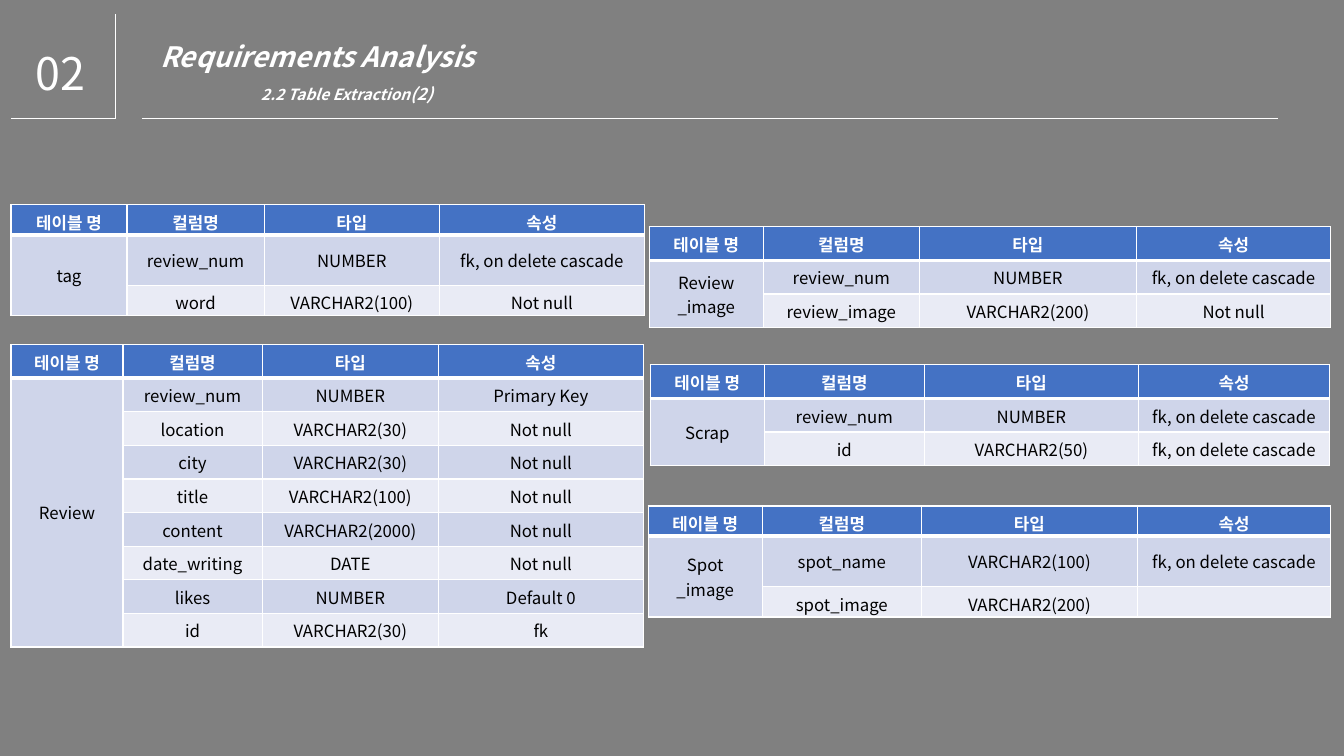
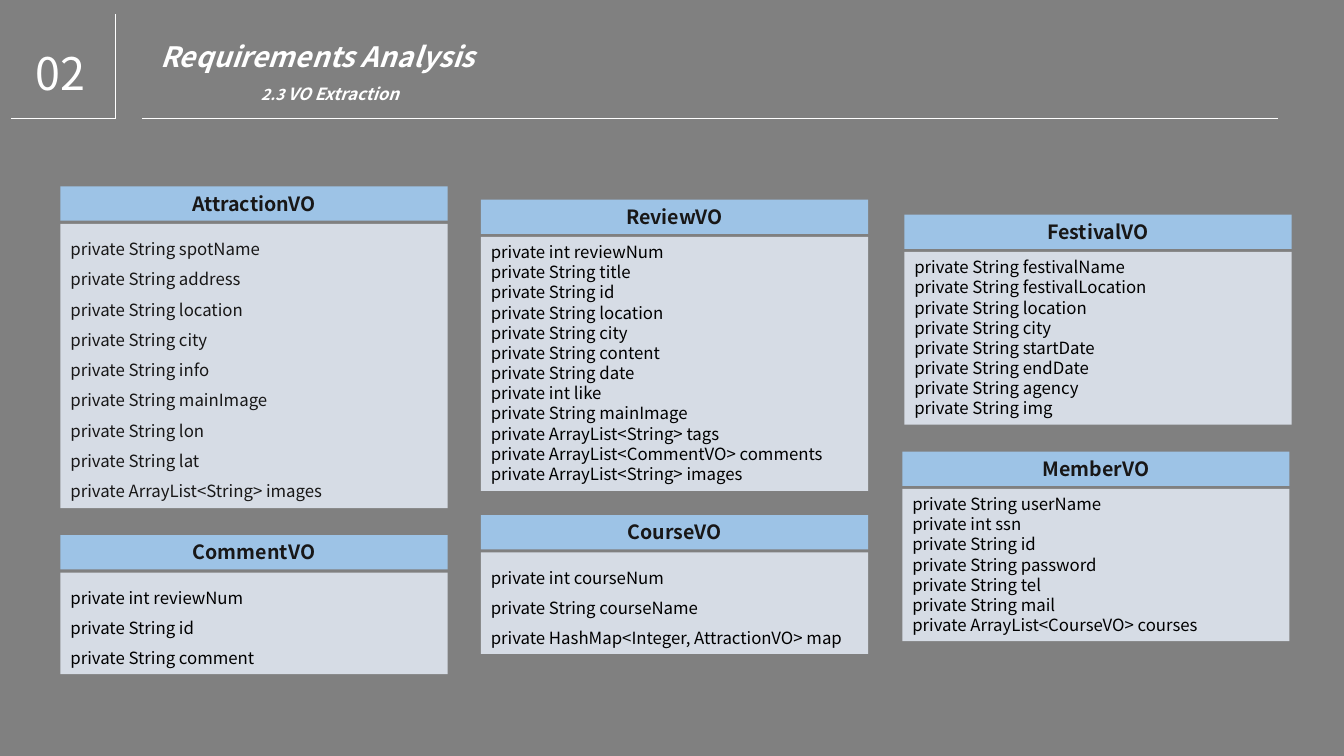
"""Build two slides of a requirements analysis: database tables and value objects."""
from dataclasses import dataclass

from lxml.etree import SubElement as SubEl
from pptx import Presentation as Deck
from pptx.dml.color import RGBColor as RGB
from pptx.enum.shapes import MSO_CONNECTOR as Link, MSO_SHAPE as Form
from pptx.enum.text import MSO_ANCHOR as Anchor, MSO_AUTO_SIZE as Fit, PP_ALIGN as Align
from pptx.oxml.ns import qn
from pptx.slide import Slide
from pptx.table import _Cell as Cell
from pptx.text.text import TextFrame as Frame, _Paragraph as Par
from pptx.util import Inches, Pt

FONT = "Noto Sans CJK KR"
GRAY = RGB(0x80, 0x80, 0x80)
WHITE = RGB(0xFF, 0xFF, 0xFF)
BLACK = RGB(0, 0, 0)
INK = RGB(0x18, 0x17, 0x17)
BLUE = RGB(0x44, 0x72, 0xC4)
DARK = RGB(0xCF, 0xD5, 0xEA)
LIGHT = RGB(0xE9, 0xEB, 0xF5)
SKY = RGB(0x9D, 0xC3, 0xE6)
MIST = RGB(0xD6, 0xDC, 0xE5)

LINES = ((0.11, 1.17, 1.15, 1.17), (1.14, 0.14, 1.14, 1.18), (1.41, 1.17, 12.68, 1.17))
HEADS = ("테이블 명", "컬럼명", "타입", "속성")
TIGHT = (0.3, 0.5, 0.3)
CASCADE = "fk, on delete cascade"
WIDE = 3.84


@dataclass(frozen=True)
class Grid:
    """A database table with its place, sizes and fields."""

    left: float
    top: float
    cols: tuple[float, ...]
    name: str
    rows: tuple[tuple[str, str, str], ...]
    highs: tuple[float, ...] = ()


@dataclass(frozen=True)
class Card:
    """A value object with its place and fields."""

    left: float
    top: float
    name: str
    fields: tuple[str, ...]
    space: float = 1.0
    ink: RGB = BLACK


GRIDS = (
    Grid(6.43, 5.02, (1.13, 1.58, 2.14, 1.92), "Spot\n_image", (
        ("spot_name", "VARCHAR2(100)", CASCADE),
        ("spot_image", "VARCHAR2(200)", ""),
    ), TIGHT),
    Grid(6.45, 3.62, (1.13, 1.59, 2.12, 1.9), "Scrap", (
        ("review_num", "NUMBER", CASCADE),
        ("id", "VARCHAR2(50)", CASCADE),
    )),
    Grid(6.44, 2.25, (1.13, 1.55, 2.15, 1.93), "Review\n_image", (
        ("review_num", "NUMBER", CASCADE),
        ("review_image", "VARCHAR2(200)", "Not null"),
    )),
    Grid(0.11, 3.42, (1.11, 1.38, 1.75, 2.03), "Review", (
        ("review_num", "NUMBER", "Primary Key"),
        ("location", "VARCHAR2(30)", "Not null"),
        ("city", "VARCHAR2(30)", "Not null"),
        ("title", "VARCHAR2(100)", "Not null"),
        ("content", "VARCHAR2(2000)", "Not null"),
        ("date_writing", "DATE", "Not null"),
        ("likes", "NUMBER", "Default 0"),
        ("id", "VARCHAR2(30)", "fk"),
    )),
    Grid(0.11, 2.03, (1.15, 1.36, 1.74, 2.03), "tag", (
        ("review_num", "NUMBER", CASCADE),
        ("word", "VARCHAR2(100)", "Not null"),
    ), TIGHT),
)

CARDS = (
    Card(0.6, 1.85, "AttractionVO", (
        "String spotName", "String address", "String location", "String city", "String info",
        "String mainImage", "String lon", "String lat", "ArrayList<String> images",
    ), 1.5, INK),
    Card(0.6, 5.31, "CommentVO", ("int reviewNum", "String id", "String comment"), 1.5),
    Card(4.77, 5.11, "CourseVO", (
        "int courseNum", "String courseName", "HashMap<Integer, AttractionVO> map",
    ), 1.5),
    Card(8.97, 2.13, "FestivalVO", (
        "String festivalName", "String festivalLocation", "String location", "String city",
        "String startDate", "String endDate", "String agency", "String img",
    )),
    Card(8.95, 4.48, "MemberVO", (
        "String userName", "int ssn", "String id", "String password", "String tel",
        "String mail", "ArrayList<CourseVO> courses",
    )),
    Card(4.77, 1.98, "ReviewVO", (
        "int reviewNum", "String title", "String id", "String location", "String city",
        "String content", "String date", "int like", "String mainImage",
        "ArrayList<String> tags", "ArrayList<CommentVO> comments", "ArrayList<String> images",
    )),
)


def add_run(par: Par, text: str, size: float, ink: RGB,
            bold: bool = False, slant: bool = False) -> None:
    """Add one styled run to a paragraph."""
    run = par.add_run()
    run.text = text
    font = run.font
    font.name, font.size, font.bold, font.italic = FONT, Pt(size), bold, slant
    font.color.rgb = ink
    SubEl(run._r.get_or_add_rPr(), qn("a:ea"), typeface=FONT)


def add_par(frame: Frame, first: bool, align: Align = Align.LEFT, space: float = 1.0) -> Par:
    """Return the first paragraph of a frame, or a new one."""
    par = frame.paragraphs[0] if first else frame.add_paragraph()
    par.alignment, par.line_spacing = align, space
    return par


def add_text(slide: Slide, left: float, top: float, width: float, high: float) -> Frame:
    """Add a wrapping text box and return its frame."""
    frame = slide.shapes.add_textbox(*map(Inches, (left, top, width, high))).text_frame
    frame.word_wrap, frame.auto_size = True, Fit.SHAPE_TO_FIT_TEXT
    return frame


def add_head(slide: Slide, parts: tuple[tuple[str, int], ...]) -> None:
    """Draw the rules, chapter number, title and subtitle."""
    for ends in LINES:
        rule = slide.shapes.add_connector(Link.STRAIGHT, *map(Inches, ends))
        rule.line.color.rgb, rule.line.width = WHITE, Pt(0.5)
        SubEl(rule._element.spPr, qn("a:effectLst"))
    num = add_text(slide, 0.25, 0.14, 0.85, 0.9)
    add_run(add_par(num, True, space=1.5), "02", 32, WHITE)
    title = add_text(slide, 1.49, 0.18, 5.9, 0.91)
    for row, runs in enumerate(((("Requirements Analysis", 20),), parts)):
        par = add_par(title, row == 0, space=1.5)
        tabs = SubEl(par._p.get_or_add_pPr(), qn("a:tabLst"))
        SubEl(tabs, qn("a:tab"), pos=str(Inches(1)), algn="l")
        for text, size in runs:
            add_run(par, text, size, WHITE, True, True)


def set_edge(cell: Cell, row: int) -> None:
    """Give a cell white edges, with a thick one under the header."""
    props = cell._tc.get_or_add_tcPr()
    for side in "LRTB":
        thick = (row, side) in ((0, "B"), (1, "T"))
        edge = SubEl(props, qn(f"a:ln{side}"), w=str(Pt(3 if thick else 1)))
        SubEl(SubEl(edge, qn("a:solidFill")), qn("a:srgbClr"), val=str(WHITE))


def fill_cell(cell: Cell, text: str, row: int) -> None:
    """Style a cell by its row and write its text."""
    set_edge(cell, row)
    cell.fill.solid()
    cell.fill.fore_color.rgb = BLUE if row == 0 else DARK if row % 2 else LIGHT
    cell.vertical_anchor = Anchor.MIDDLE
    for num, line in enumerate(text.split("\n")):
        par = add_par(cell.text_frame, num == 0, Align.CENTER)
        if line:
            add_run(par, line, 12, BLACK if row else WHITE, row == 0)
        else:
            SubEl(par._p, qn("a:endParaRPr"), sz="1200")


def add_grid(slide: Slide, grid: Grid) -> None:
    """Draw one database table."""
    count = len(grid.rows) + 1
    highs = grid.highs or (1 / 3,) * count
    sizes = (grid.left, grid.top, sum(grid.cols), sum(highs))
    table = slide.shapes.add_table(count, len(HEADS), *map(Inches, sizes)).table
    for col, width in zip(table.columns, grid.cols):
        col.width = Inches(width)
    for line, high in zip(table.rows, highs):
        line.height = Inches(high)
    body = [(grid.name if num == 0 else "", *row) for num, row in enumerate(grid.rows)]
    for row, texts in enumerate((HEADS, *body)):
        for col, text in enumerate(texts):
            fill_cell(table.cell(row, col), text, row)
    table.cell(1, 0).merge(table.cell(count - 1, 0))


def add_box(slide: Slide, left: float, top: float, high: float, fill: RGB) -> Frame:
    """Draw a plain box and return its text frame."""
    box = slide.shapes.add_shape(Form.RECTANGLE, *map(Inches, (left, top, WIDE, high)))
    box.shadow.inherit = False
    box.fill.solid()
    box.fill.fore_color.rgb = fill
    box.line.fill.background()
    frame = box.text_frame
    frame.word_wrap, frame.auto_size = True, Fit.SHAPE_TO_FIT_TEXT
    frame.vertical_anchor = Anchor.TOP
    return frame


def add_card(slide: Slide, card: Card) -> None:
    """Draw a value object: name box above field box."""
    head = add_box(slide, card.left, card.top, 0.34, SKY)
    add_run(add_par(head, True, Align.CENTER), card.name, 14, INK, True)
    high = 0.1 + len(card.fields) * card.space * 1.21 * 12 / 72
    body = add_box(slide, card.left, card.top + 0.37, high, MIST)
    for num, field in enumerate(card.fields):
        par = add_par(body, num == 0, space=card.space)
        add_run(par, f"private {field}", 12, card.ink)


def main() -> None:
    """Build and save the deck."""
    deck = Deck()
    deck.slide_width, deck.slide_height = Inches(13.33), Inches(7.5)
    back = deck.slide_master.background.fill
    back.solid()
    back.fore_color.rgb = GRAY
    blank = deck.slide_layouts[6]
    first = deck.slides.add_slide(blank)
    add_head(first, (("\t2.2 Table Extraction", 11), ("(2)", 12)))
    for grid in GRIDS:
        add_grid(first, grid)
    second = deck.slides.add_slide(blank)
    add_head(second, (("\t2.3 ", 11), ("VO Extraction", 12)))
    for card in CARDS:
        add_card(second, card)
    deck.save("out.pptx")


if __name__ == "__main__":
    main()
